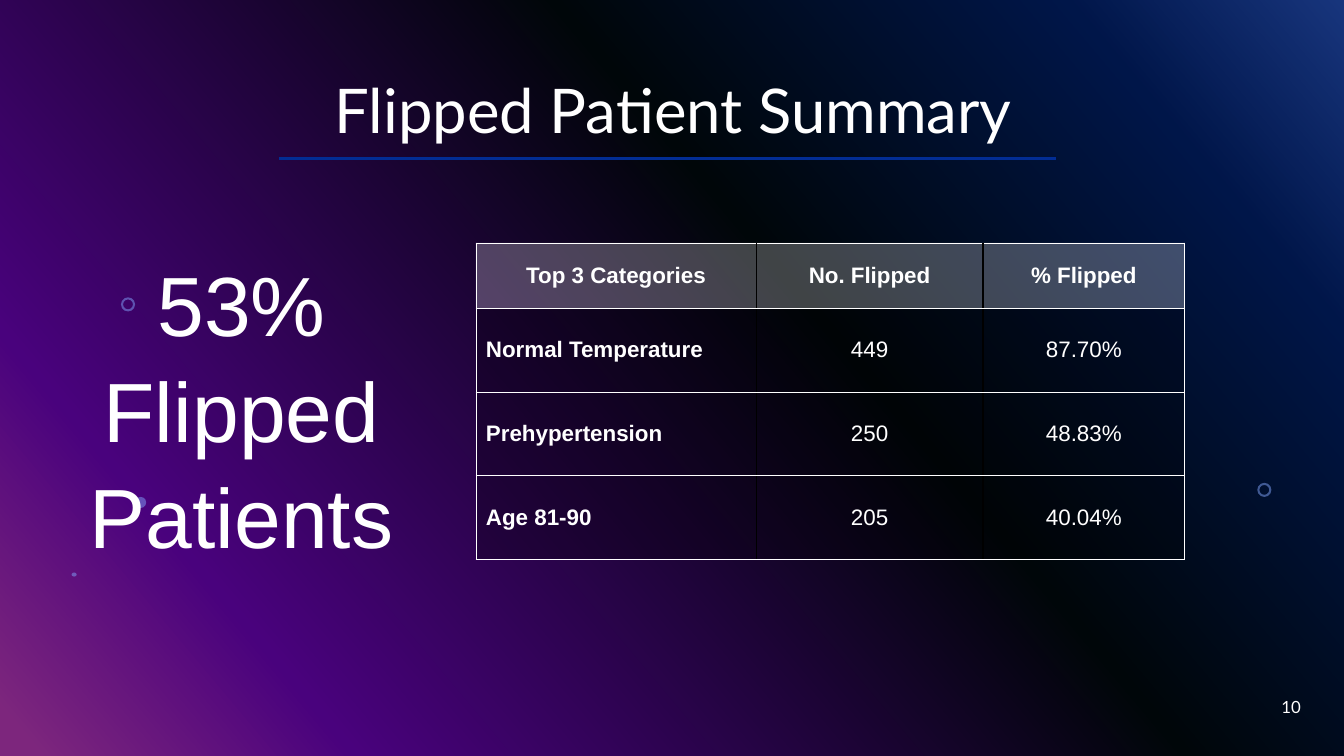
from lxml import etree
from pptx import Presentation
from pptx import util as u
from pptx.dml.color import RGBColor
from pptx.enum import shapes, text
from pptx.oxml import ns

WIDTH, HEIGHT = 13.33, 7.5
COLORS = {"white": "FFFFFF", "black": "000000", "rule": "022D94", "bubble": "83A7FD"}
BACKDROP = [(0, "316CFC"), (14, "022D94"), (40, "020D13"), (82, "9405FC"), (98, "FC4EFB")]
BUBBLES = [
    ("DONUT", (1.2, 2.95, 0.14, 0.14)),
    ("OVAL", (1.34, 4.93, 0.11, 0.11)),
    ("DONUT", (12.47, 4.79, 0.14, 0.14)),
    ("OVAL", (0.71, 5.68, 0.05, 0.04)),
]
ROWS = [
    ("Top 3 Categories", "No. Flipped", "% Flipped"),
    ("Normal Temperature", "449", "87.70%"),
    ("Prehypertension", "250", "48.83%"),
    ("Age 81-90", "205", "40.04%"),
]
COLUMN_WIDTHS = (2.78, 2.25, 2)
ROW_HEIGHTS = (0.65, 0.83, 0.83, 0.83)
ALIGN = text.PP_ALIGN


def inches(box):
    """Turn a box in inches into slide lengths."""
    return [u.Inches(length) for length in box]


def add_element(parent, tag, **attributes):
    """Append a drawing element and return it."""
    values = {name: str(value) for name, value in attributes.items()}
    return etree.SubElement(parent, ns.qn(tag), values)


def paint(fill, color, opacity):
    """Give a fill a solid colour with an opacity in percent."""
    fill.solid()
    fill.fore_color.rgb = RGBColor.from_string(COLORS[color])
    for node in fill._xPr.iter(ns.qn("a:srgbClr")):
        if node.getparent().getparent() is fill._xPr:
            add_element(node, "a:alpha", val=opacity * 1000)


def write(frame, words, size, font="Arial", bold=False, align=ALIGN.CENTER, spacing=None,
          anchor=text.MSO_ANCHOR.MIDDLE):
    """Write one formatted paragraph into a text frame."""
    frame.word_wrap = True
    frame.vertical_anchor = anchor
    para = frame.paragraphs[0]
    para.alignment = align
    para.line_spacing = spacing
    span = para.add_run()
    span.text = words
    span.font.size = u.Pt(size)
    span.font.name = font
    span.font.bold = bold
    span.font.color.rgb = RGBColor.from_string(COLORS["white"])


def add_text(page, box, words, size, **style):
    """Place a text box with one paragraph."""
    write(page.shapes.add_textbox(*inches(box)).text_frame, words, size, **style)


def add_plain_shape(page, kind, box, color, opacity):
    """Place a preset shape without outline or shadow."""
    shape = page.shapes.add_shape(getattr(shapes.MSO_SHAPE, kind), *inches(box))
    shape.shadow.inherit = False
    shape.line.fill.background()
    paint(shape.fill, color, opacity)
    return shape


def draw_backdrop(page):
    """Draw the gradient, its dark veil and the small bubbles."""
    fill = page.background.fill
    fill.gradient()
    fill.gradient_angle = 220
    stops = next(page.element.iter(ns.qn("a:gsLst")))
    for stop in list(stops):
        stops.remove(stop)
    for position, color in BACKDROP:
        stop = add_element(stops, "a:gs", pos=position * 1000)
        add_element(stop, "a:srgbClr", val=color)
    add_plain_shape(page, "RECTANGLE", (0, 0, WIDTH, HEIGHT), "black", 50)
    for kind, box in BUBBLES:
        bubble = add_plain_shape(page, kind, box, "bubble", 49)
        if kind == "DONUT":
            bubble.adjustments[0] = 0.15


def draw_title(page, box):
    """Write the title and draw the rule under it."""
    left, top, width, height = box
    add_text(page, box, "Flipped Patient Summary", 44, font="Lato", spacing=0.9)
    start, end, level = left + 0.16 * width, left + 0.83 * width, top + 0.81 * height
    rule = page.shapes.add_connector(
        shapes.MSO_CONNECTOR.STRAIGHT, *inches((start, level, end, level)))
    rule.line.color.rgb = RGBColor.from_string(COLORS["rule"])
    rule.line.width = u.Pt(2)
    add_element(rule._element.spPr, "a:effectLst")


def add_border(cell, side, color, points):
    """Draw one side of a table cell."""
    line = add_element(cell._tc.get_or_add_tcPr(), f"a:ln{side}", w=int(u.Pt(points)))
    add_element(add_element(line, "a:solidFill"), "a:srgbClr", val=COLORS[color])


def draw_table(page, box):
    """Draw the table of flipped categories."""
    table = page.shapes.add_table(len(ROWS), len(COLUMN_WIDTHS), *inches(box)).table
    table.horz_banding = False
    for column, width in zip(table.columns, COLUMN_WIDTHS):
        column.width = u.Inches(width)
    for row, height in zip(table.rows, ROW_HEIGHTS):
        row.height = u.Inches(height)
    inner, outer = ("black", 1), ("white", 0.5)
    last = len(COLUMN_WIDTHS) - 1
    for r, values in enumerate(ROWS):
        for c, value in enumerate(values):
            cell = table.cell(r, c)
            add_border(cell, "L", *(inner if c else outer))
            add_border(cell, "R", *(inner if c < last else outer))
            add_border(cell, "T", "white", 1 if r == 1 else 0.5)
            add_border(cell, "B", "white", 1 if r == 0 else 0.5)
            paint(cell.fill, "black" if r else "white", 25)
            cell.vertical_anchor = text.MSO_ANCHOR.MIDDLE
            write(cell.text_frame, value, 16, bold=r == 0 or c == 0, anchor=None,
                  align=ALIGN.LEFT if r and c == 0 else ALIGN.CENTER)


def main():
    """Build the deck."""
    deck = Presentation()
    deck.slide_width, deck.slide_height = inches((WIDTH, HEIGHT))
    page = deck.slides.add_slide(deck.slide_layouts[6])
    draw_backdrop(page)
    draw_title(page, (0.93, 0.4, 11.5, 1.45))
    draw_table(page, (4.72, 2.41, sum(COLUMN_WIDTHS), sum(ROW_HEIGHTS)))
    add_text(page, (10, 6.81, 3, 0.4), "10", 12, font="Lato", align=ALIGN.RIGHT)
    add_text(page, (0.74, 2.41, 3.31, 3.13), "53% Flipped Patients", 60, spacing=1.05,
             anchor=text.MSO_ANCHOR.TOP)
    deck.save("out.pptx")


if __name__ == "__main__":
    main()
